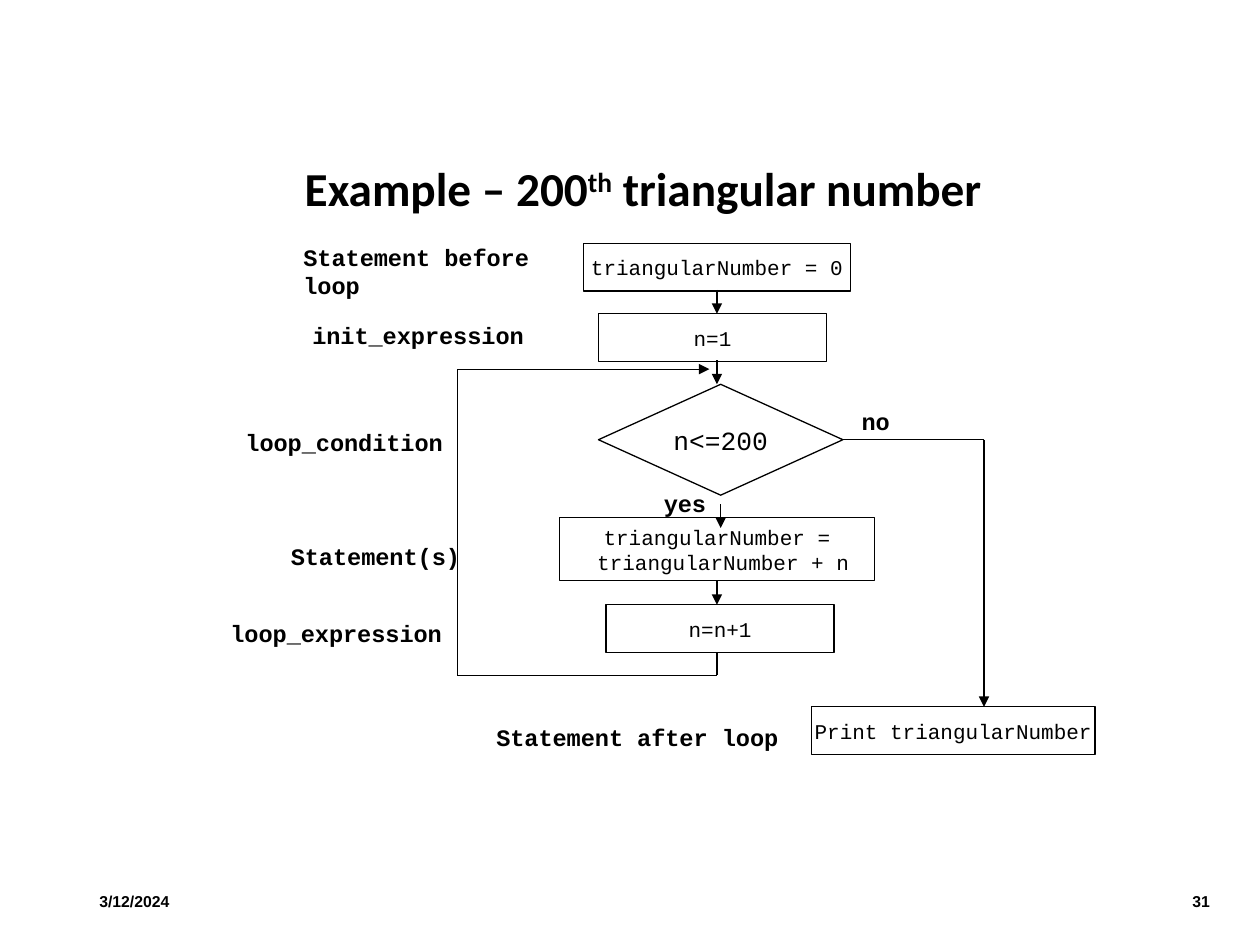
import pptx
import pptx.util
import pptx.dml.color
import pptx.enum.shapes
import pptx.enum.text
import pptx.oxml
import pptx.oxml.ns
from pptx.util import Inches

ALIGN = pptx.enum.text.PP_ALIGN
ANCHOR = pptx.enum.text.MSO_ANCHOR
SHAPE = pptx.enum.shapes.MSO_SHAPE
MONO = "Courier New"


def color(value):
    return pptx.dml.color.RGBColor.from_string(value)


def write(sp, text, size, font=MONO, bold=False, align=ALIGN.LEFT,
          anchor=ANCHOR.TOP, wrap=False, spacing=None):
    """Fill a shape with text; ^ switches superscript on and off."""
    tf = sp.text_frame
    tf.word_wrap = wrap
    tf.vertical_anchor = anchor
    for i, line in enumerate(text.split("\n")):
        p = tf.paragraphs[0] if i == 0 else tf.add_paragraph()
        p.alignment = align
        p.line_spacing = spacing
        for j, part in enumerate(line.split("^")):
            r = p.add_run()
            r.text = part
            r.font.size = pptx.util.Pt(size)
            r.font.name = font
            r.font.bold = bold
            r.font.color.rgb = color("000000")
            if j % 2:
                r._r.get_or_add_rPr().set("baseline", "30000")


prs = pptx.Presentation()
prs.slide_width, prs.slide_height = Inches(10), Inches(7.5)
s = prs.slides.add_slide(prs.slide_layouts[6])

# Title, date and slide number
sp = s.shapes.add_textbox(Inches(2.32), Inches(1.24), Inches(5.88), Inches(0.56))
write(sp, "Example – 200^th^ triangular number", 27, font="Calibri", bold=True,
      anchor=ANCHOR.MIDDLE, wrap=True, spacing=0.9)
for text, x, w, align in [("3/12/2024", 0.69, 0.95, ALIGN.LEFT),
                          ("31", 9.31, 0.39, ALIGN.RIGHT)]:
    sp = s.shapes.add_textbox(Inches(x), Inches(6.95), Inches(w), Inches(0.4))
    write(sp, text, 9, font="Arial", bold=True, align=align,
          anchor=ANCHOR.MIDDLE, wrap=True)

# Flowchart steps
process, decision = SHAPE.FLOWCHART_PROCESS, SHAPE.FLOWCHART_DECISION
steps = [
    ("triangularNumber = 0", process, 4.63, 1.93, 2.12, 0.38, 12),
    ("n=1", process, 4.75, 2.49, 1.81, 0.38, 12),
    ("n<=200", decision, 4.75, 3.05, 1.94, 0.88, 15),
    ("triangularNumber =\n triangularNumber + n", process, 4.44, 4.11, 2.5, 0.5, 12),
    ("n=n+1", process, 4.81, 4.8, 1.81, 0.38, 12),
    ("Print triangularNumber", process, 6.44, 5.61, 2.25, 0.38, 12),
]
for text, kind, x, y, w, h, size in steps:
    sp = s.shapes.add_shape(kind, Inches(x), Inches(y), Inches(w), Inches(h))
    sp.shadow.inherit = False
    sp.fill.background()
    sp.line.color.rgb = color("000000")
    sp.line.width = pptx.util.Pt(0.75)
    write(sp, text, size, align=ALIGN.CENTER, anchor=ANCHOR.MIDDLE)

# Flow lines: start, end, arrowhead
main_x, back_x, exit_x = 5.69, 3.63, 7.81
lines = [
    (main_x, 2.3, main_x, 2.49, True),
    (main_x, 2.86, main_x, 3.05, True),
    (5.72, 4, 5.72, 4.19, True),
    (main_x, 4.61, main_x, 4.8, True),
    # back to the condition
    (main_x, 5.18, main_x, 5.36, False),
    (main_x, 5.36, back_x, 5.36, False),
    (back_x, 5.36, back_x, 2.93, False),
    (back_x, 2.93, 5.63, 2.93, True),
    # out of the loop
    (6.69, 3.49, exit_x, 3.49, False),
    (exit_x, 3.49, exit_x, 5.61, True),
]
for x1, y1, x2, y2, arrow in lines:
    sp = s.shapes.add_connector(pptx.enum.shapes.MSO_CONNECTOR.STRAIGHT,
                                Inches(x1), Inches(y1), Inches(x2), Inches(y2))
    sp.line.color.rgb = color("000000")
    sp.line.width = pptx.util.Pt(0.75)
    if arrow:
        ln = sp.line._get_or_add_ln()
        tail = pptx.oxml.parse_xml(
            f'<a:tailEnd {pptx.oxml.ns.nsdecls("a")} type="triangle"/>')
        ln.append(tail)
    sp._element.spPr.append(pptx.oxml.parse_xml(
        f'<a:effectLst {pptx.oxml.ns.nsdecls("a")}/>'))

# Labels
labels = [
    ("Statement before loop", 2.31, 1.88, 2.44, 0.56),
    ("init_expression", 2.38, 2.5, 1.91, 0.33),
    ("loop_condition", 1.85, 3.35, 1.8, 0.33),
    ("Statement(s)", 2.21, 4.25, 1.57, 0.33),
    ("loop_expression", 1.73, 4.86, 1.91, 0.33),
    ("Statement after loop", 3.84, 5.69, 2.48, 0.33),
    ("yes", 5.17, 3.83, 0.54, 0.33),
    ("no", 6.74, 3.18, 0.43, 0.33),
]
for text, x, y, w, h in labels:
    sp = s.shapes.add_textbox(Inches(x), Inches(y), Inches(w), Inches(h))
    write(sp, text, 13.5, bold=True, wrap=h > 0.5)

prs.save("out.pptx")
